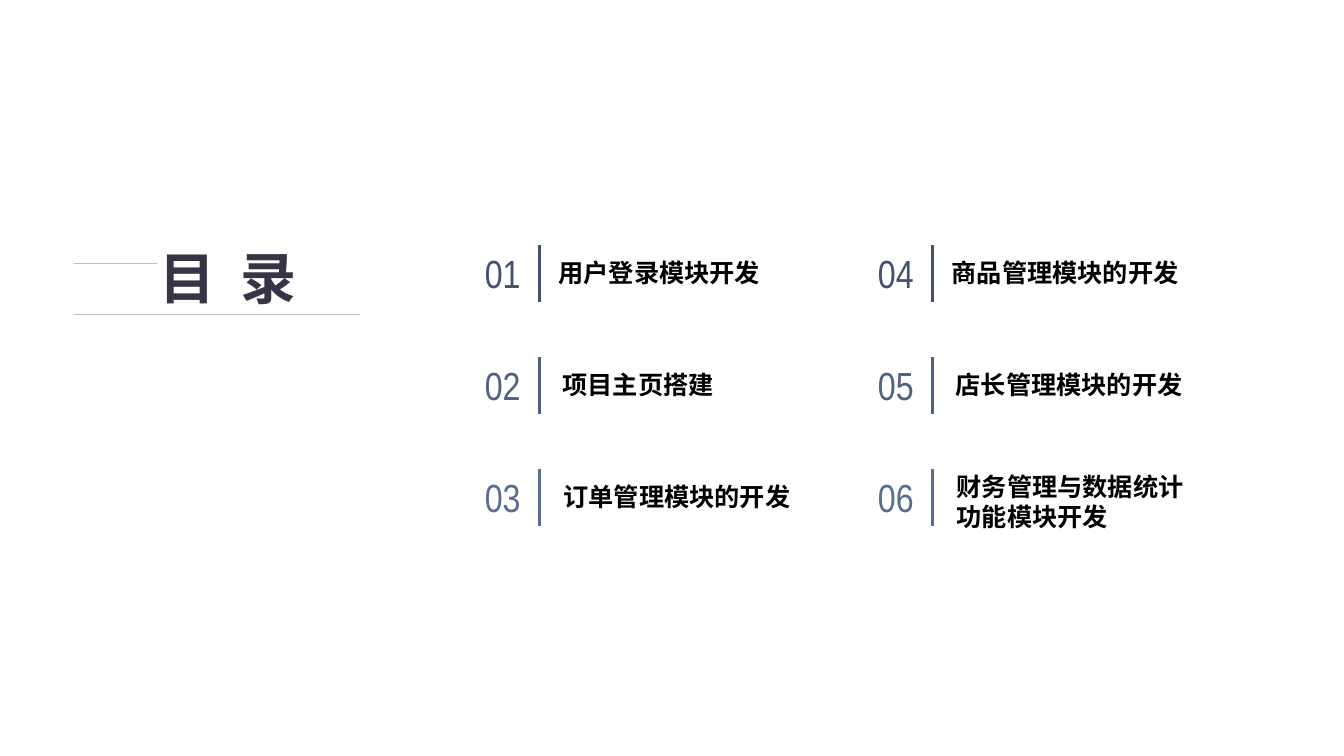
import pptx
import pptx.dml.color
import pptx.enum.shapes
import pptx.enum.text
import pptx.oxml.xmlchemy
import pptx.util
from dataclasses import dataclass
from pptx.util import Inches


@dataclass(frozen=True)
class Theme:
    title_color: str = "373545"
    label_color: str = "000000"
    hairline_color: str = "BFBFBF"
    row_colors: tuple = ("42516E", "4F6283", "586D92")
    font: str = "Arial"
    number_font: str = "Arial Narrow"
    title_size: int = 40
    number_size: int = 28
    label_size: int = 18
    hairline_width: float = 0.5
    rule_width: float = 2.25


THEME = Theme()
TOPICS = (
    ("用户登录模块开发", "项目主页搭建", "订单管理模块的开发"),
    ("商品管理模块的开发", "店长管理模块的开发", "财务管理与数据统计\n功能模块开发"),
)
COLUMN_LEFT, COLUMN_STEP = 4.71, 3.9
ROW_TOP, ROW_STEP = 2.43, 1.11
LABEL_OFFSETS = (0.73, 0.77, 0.78)


def write_text(box, text, font, size, color, anchor, bold=False):
    frame = box.text_frame
    frame.text = text
    frame.word_wrap = True
    frame.auto_size = pptx.enum.text.MSO_AUTO_SIZE.NONE
    frame.vertical_anchor = anchor
    for para in frame.paragraphs:
        para.alignment = pptx.enum.text.PP_ALIGN.LEFT
        for span in para.runs:
            span.font.name = font
            span.font.size = pptx.util.Pt(size)
            span.font.bold = bold
            span.font.color.rgb = pptx.dml.color.RGBColor.from_string(color)


def add_line(shapes, start, end, color, width):
    line = shapes.add_connector(
        pptx.enum.shapes.MSO_CONNECTOR.STRAIGHT,
        *(Inches(value) for value in start + end))
    line.line.color.rgb = pptx.dml.color.RGBColor.from_string(color)
    line.line.width = pptx.util.Pt(width)
    line._element.spPr.append(pptx.oxml.xmlchemy.OxmlElement("a:effectLst"))


def add_textbox(shapes, left, top, width, height):
    return shapes.add_textbox(
        Inches(left), Inches(top), Inches(width), Inches(height))


def add_title(page, text):
    title = page.shapes.title
    title.left, title.top = Inches(1.48), Inches(2.43)
    title.width, title.height = Inches(1.75), Inches(0.72)
    write_text(title, text, THEME.font, THEME.title_size, THEME.title_color,
               pptx.enum.text.MSO_ANCHOR.MIDDLE, bold=True)
    title.text_frame.paragraphs[0].line_spacing = 0.9


def add_topic(page, number, text, column, row):
    left = COLUMN_LEFT + column * COLUMN_STEP
    top = ROW_TOP + row * ROW_STEP
    color = THEME.row_colors[row]
    shapes = page.shapes.add_group_shape().shapes

    number_box = add_textbox(shapes, left, top + 0.03, 0.6, 0.5)
    write_text(number_box, f"{number:02d}", THEME.number_font,
               THEME.number_size, color, pptx.enum.text.MSO_ANCHOR.MIDDLE)

    rule_left = left + 0.64
    add_line(shapes, (rule_left, top), (rule_left, top + 0.57),
             color, THEME.rule_width)

    two_lines = "\n" in text
    label_top = top - 0.12 if two_lines else top + 0.09
    label_height = 0.79 if two_lines else 0.38
    label_box = add_textbox(shapes, left + LABEL_OFFSETS[row], label_top,
                            3.9, label_height)
    write_text(label_box, text, THEME.font, THEME.label_size,
               THEME.label_color, pptx.enum.text.MSO_ANCHOR.BOTTOM, bold=True)


def main():
    deck = pptx.Presentation()
    deck.slide_width, deck.slide_height = Inches(13.33), Inches(7.5)
    page = deck.slides.add_slide(deck.slide_layouts.get_by_name("Title Only"))

    add_title(page, "目  录")
    for start, end in (((1.56, 2.61), (0.73, 2.61)), ((0.73, 3.12), (3.57, 3.12))):
        add_line(page.shapes, start, end, THEME.hairline_color, THEME.hairline_width)

    for column, topics in enumerate(TOPICS):
        for row, text in enumerate(topics):
            add_topic(page, column * len(topics) + row + 1, text, column, row)

    deck.save("out.pptx")


if __name__ == "__main__":
    main()
